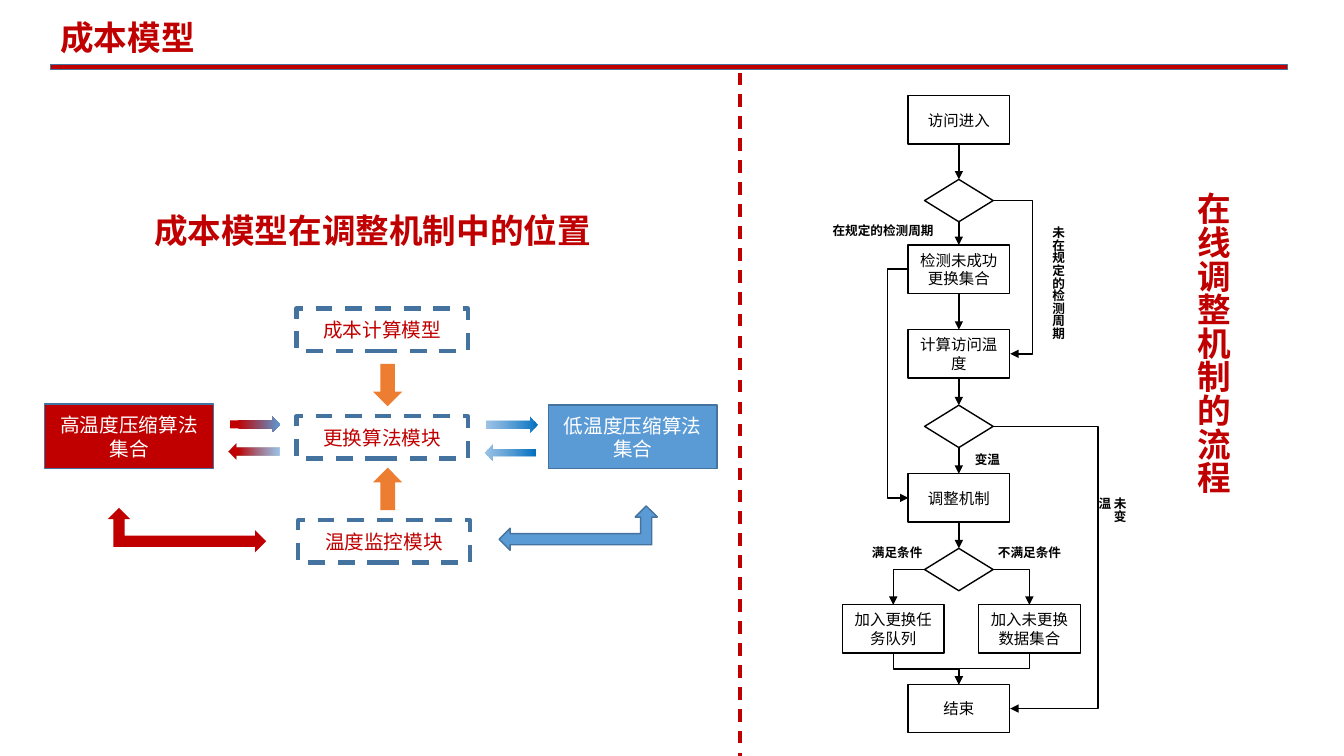
from lxml import etree
from pptx import Presentation
from pptx.dml.color import RGBColor
from pptx.enum.dml import MSO_LINE
from pptx.enum.shapes import MSO_CONNECTOR as CONN, MSO_SHAPE as SHAPE
from pptx.enum.text import MSO_ANCHOR, MSO_AUTO_SIZE, PP_ALIGN
from pptx.oxml.ns import qn
from pptx.util import Inches, Pt

RED = RGBColor(0xC0, 0x00, 0x00)
BLUE = RGBColor(0x5B, 0x9B, 0xD5)
DEEP_BLUE = RGBColor(0x00, 0x70, 0xC0)
STEEL = RGBColor(0x43, 0x73, 0x9E)
ORANGE = RGBColor(0xED, 0x7D, 0x31)
BLACK = RGBColor(0, 0, 0)
WHITE = RGBColor(0xFF, 0xFF, 0xFF)
HEAD_FONT, BODY_FONT = "Noto Sans CJK SC", "Calibri"

prs = Presentation()
prs.slide_width, prs.slide_height = Inches(13.33), Inches(7.5)
s = prs.slides.add_slide(prs.slide_layouts[6])


def add_box(kind, x, y, w, h, fill=None, line=None, width=1, text="", size=14, color=WHITE):
    """Add a preset shape; no fill or line colour means none is drawn."""
    sp = s.shapes.add_shape(kind, Inches(x), Inches(y), Inches(w), Inches(h))
    sp.shadow.inherit = False
    if fill is None:
        sp.fill.background()
    else:
        sp.fill.solid()
        sp.fill.fore_color.rgb = fill
    if line is None:
        sp.line.fill.background()
    else:
        sp.line.color.rgb = line
        sp.line.width = Pt(width)
    if text:
        tf = sp.text_frame
        tf.text = text
        tf.vertical_anchor = MSO_ANCHOR.MIDDLE
        p = tf.paragraphs[0]
        p.alignment = PP_ALIGN.CENTER
        font = p.runs[0].font
        font.name, font.size, font.color.rgb = BODY_FONT, Pt(size), color
    return sp


def add_label(text, x, y, w, h, size, color, name, align=None, vertical=False):
    tf = s.shapes.add_textbox(Inches(x), Inches(y), Inches(w), Inches(h)).text_frame
    tf.text = text
    tf.word_wrap = True
    tf.auto_size = MSO_AUTO_SIZE.SHAPE_TO_FIT_TEXT
    if vertical:
        tf._txBody.bodyPr.set("vert", "eaVert")
    p = tf.paragraphs[0]
    p.alignment = align
    r = p.runs[0]
    r.font.name, r.font.size, r.font.bold = name, Pt(size), True
    r.font.color.rgb = color
    if name == HEAD_FONT:
        etree.SubElement(r._r.rPr, qn("a:ea")).set("typeface", name)


# Heading
add_box(SHAPE.RECTANGLE, 0.5, 0.64, 12.27, 0.05, RED, STEEL)
add_label("成本模型", 0.5, 0.12, 5.69, 0.5, 24, RED, HEAD_FONT)

# Flow chart: boxes and decisions on one axis, then the two branches
MID, BOX_W, BOX_H, DIA_W, DIA_H = 9.51, 1.01, 0.48, 0.68, 0.42
LEFT, RIGHT = 8.86, 10.21
main_flow = []
for text, top in [("访问进入", 0.95), ("", 1.78), ("检测未成功更换集合", 2.43),
                  ("计算访问温度", 3.27), ("", 4.02), ("调整机制", 4.7), ("", 5.44)]:
    kind, w, h = (SHAPE.RECTANGLE, BOX_W, BOX_H) if text else (SHAPE.DIAMOND, DIA_W, DIA_H)
    main_flow.append(add_box(kind, MID - w / 2, top, w, h, None, BLACK, 1, text, 11, BLACK))
for text, center, top in [("加入更换任务队列", LEFT, 6), ("加入未更换数据集合", RIGHT, 6),
                          ("结束", MID, 6.79)]:
    add_box(SHAPE.RECTANGLE, center - BOX_W / 2, top, BOX_W, BOX_H, None, BLACK, 1, text, 11, BLACK)

arrows = []
for upper, lower in zip(main_flow, main_flow[1:]):
    arrow = s.shapes.add_connector(CONN.STRAIGHT, 0, 0, 0, 0)
    arrow.begin_connect(upper, 2)
    arrow.end_connect(lower, 0)
    arrows.append(arrow)

# Decision corners: sideways, then down
for side, target in [(-1, LEFT), (1, RIGHT)]:
    arrow = s.shapes.add_connector(CONN.ELBOW, Inches(MID + side * DIA_W / 2), Inches(5.65),
                                   Inches(target), Inches(6))
    arrow._element.spPr.find(qn("a:prstGeom")).set("prst", "bentConnector2")
    arrows.append(arrow)

# Branches merging into the end box: a quarter-turned elbow runs down, across, down
for start in (LEFT, RIGHT):
    dx, dy = MID - start, 6.79 - 6.48
    cx, cy = (start + MID) / 2, 6.48 + dy / 2
    arrow = s.shapes.add_connector(CONN.ELBOW, Inches(cx - dy / 2), Inches(cy + dx / 2),
                                   Inches(cx + dy / 2), Inches(cy - dx / 2))
    arrow._element.spPr.find(qn("a:xfrm")).set("rot", str(90 * 60000))
    arrows.append(arrow)

# Detours that leave and re-enter the axis through a side lane
for x1, y1, x2, y2, lane in [(9.85, 1.99, 10.02, 3.51, 10.24),
                             (9.02, 2.67, 9.01, 4.94, 8.8),
                             (9.85, 4.23, 10.02, 7.03, 10.89)]:
    arrow = s.shapes.add_connector(CONN.ELBOW, Inches(x1), Inches(y1), Inches(x2), Inches(y2))
    guides = arrow._element.spPr.find(qn("a:prstGeom")).find(qn("a:avLst"))
    guide = etree.SubElement(guides, qn("a:gd"))
    guide.set("name", "adj1")
    guide.set("fmla", f"val {round((lane - x1) / (x2 - x1) * 100000)}")
    arrows.append(arrow)

divider = s.shapes.add_connector(CONN.STRAIGHT, Inches(7.34), Inches(0.72),
                                 Inches(7.34), Inches(7.53))
for line in arrows + [divider]:
    line.line.color.rgb = RED if line is divider else BLACK
    line.line.width = Pt(2.25 if line is divider else 1)
    if line is divider:
        line.line.dash_style = MSO_LINE.DASH
    else:
        etree.SubElement(line.line._get_or_add_ln(), qn("a:tailEnd")).set("type", "triangle")
    etree.SubElement(line._element.spPr, qn("a:effectLst"))

for text, x, y, w, h, vertical in [
        ("未在规定的检测周期", 10.25, 2.15, 0.37, 1.44, True),
        ("在规定的检测周期", 8.16, 2.16, 1.32, 0.26, False),
        ("变温", 9.57, 4.43, 0.6, 0.26, False),
        ("未变温", 10.86, 4.84, 0.37, 0.54, True),
        ("满足条件", 8.55, 5.36, 0.83, 0.26, False),
        ("不满足条件", 9.8, 5.36, 0.9, 0.26, False)]:
    add_label(text, x, y, w, h, 9, BLACK, BODY_FONT, vertical=vertical)

add_label("成本模型在调整机制中的位置", 0.85, 2.03, 5.69, 0.5, 24, RED, HEAD_FONT, PP_ALIGN.CENTER)
add_label("在线调整机制的流程", 11.67, 1.81, 0.61, 4.78, 24, RED, HEAD_FONT, PP_ALIGN.CENTER, True)

# Module diagram
add_box(SHAPE.RECTANGLE, 0.44, 4.01, 1.68, 0.64, RED, STEEL, 1, "高温度压缩算法集合")
add_box(SHAPE.RECTANGLE, 5.44, 4.02, 1.67, 0.63, BLUE, STEEL, 1, "低温度压缩算法集合")
for text, x, y in [("更换算法模块", 2.94, 4.13), ("成本计算模型", 2.94, 3.06),
                   ("温度监控模块", 2.96, 5.16)]:
    module = add_box(SHAPE.RECTANGLE, x, y, 1.7, 0.42, None, STEEL, 3, text, 14, RED)
    module.line.dash_style = MSO_LINE.DASH

for y, turn in [(3.61, 0), (4.64, 180)]:
    add_box(SHAPE.DOWN_ARROW, 3.7, y, 0.29, 0.42, ORANGE).rotation = turn

add_box(SHAPE.LEFT_UP_ARROW, 4.95, 5.02, 1.57, 0.44, BLUE, STEEL)
red_corner = add_box(SHAPE.LEFT_UP_ARROW, 1.07, 5.04, 1.57, 0.44, RED)
red_corner.rotation = 180
red_corner._element.spPr.find(qn("a:xfrm")).set("flipV", "1")

# Exchange arrows: each stop is position, colour, opacity in percent
for x, y, turn, stops in [
        (2.28, 4.13, 0, [(0.15, RED, 100), (1, BLUE, 100)]),
        (4.83, 4.13, 0, [(0, BLUE, 60), (1, DEEP_BLUE, 100)]),
        (4.81, 4.41, 180, [(0, DEEP_BLUE, 100), (1, BLUE, 60)]),
        (2.27, 4.4, 180, [(0, BLUE, 60), (0.81, RED, 100)])]:
    exchange = add_box(SHAPE.RIGHT_ARROW, x, y, 0.5, 0.16)
    exchange.rotation = turn
    exchange.fill.gradient()
    exchange.fill.gradient_angle = 0
    for stop, (position, color, _) in zip(exchange.fill.gradient_stops, stops):
        stop.position, stop.color.rgb = position, color
    for clr, (_, _, opacity) in zip(exchange._element.spPr.iter(qn("a:srgbClr")), stops):
        if opacity < 100:
            etree.SubElement(clr, qn("a:alpha")).set("val", str(opacity * 1000))

prs.save("out.pptx")
